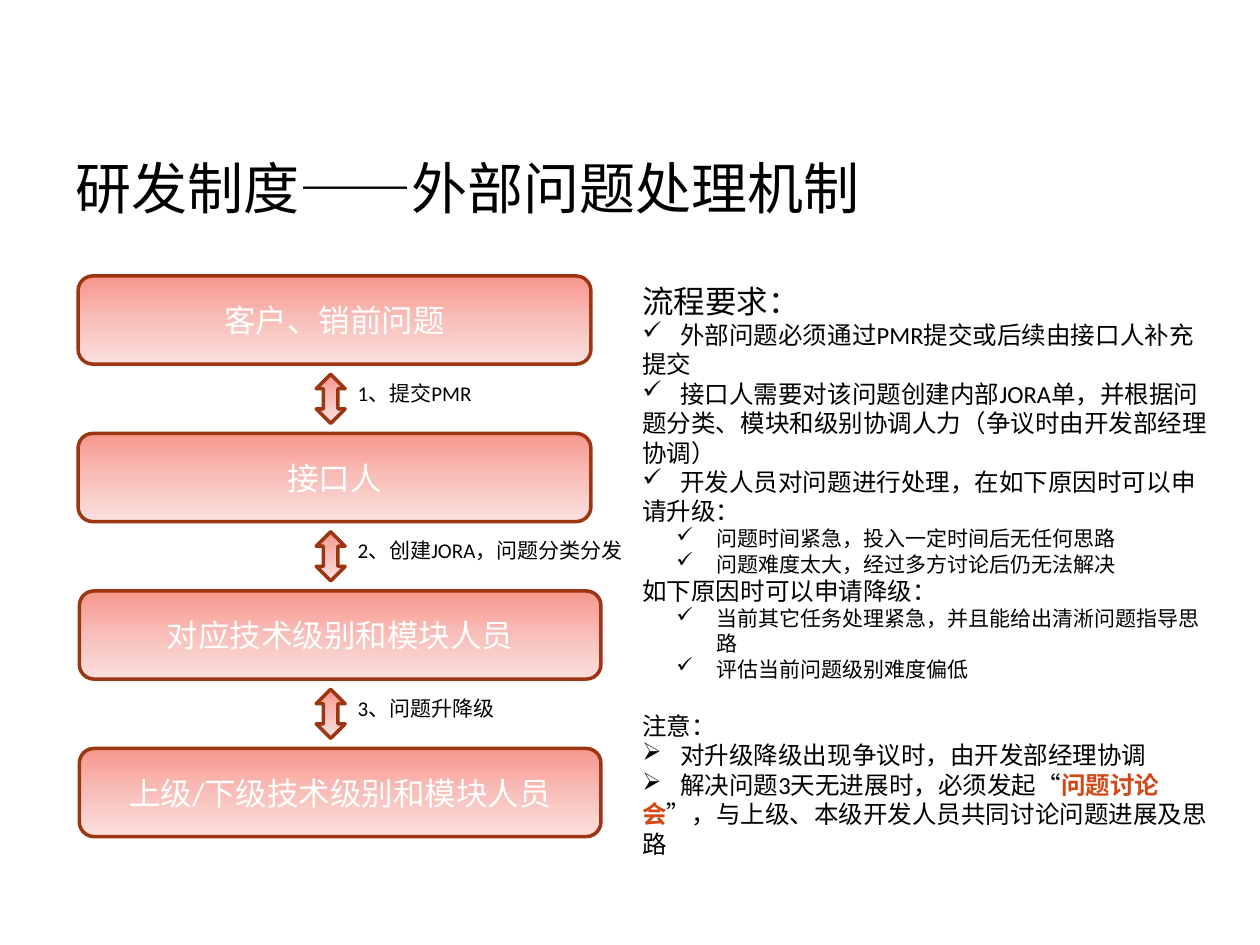
import copy
from dataclasses import dataclass

import pptx
import pptx.dml.color
import pptx.enum.shapes
import pptx.enum.text
import pptx.oxml.ns
import pptx.util
from pptx.util import Inches

Align = pptx.enum.text.PP_ALIGN
Anchor = pptx.enum.text.MSO_ANCHOR
ShapeType = pptx.enum.shapes.MSO_SHAPE
qn = pptx.oxml.ns.qn


@dataclass(frozen=True)
class Theme:
    title_font: str = "Roboto"
    body_font: str = "Calibri"
    text: str = "000000"
    light_text: str = "FFFFFF"
    accent: str = "D34817"
    outline: str = "9C3511"
    gradient: tuple = ((0, "F7968C"), (0.5, "F8BFBA"), (1, "FBE0DE"))
    title_size: int = 32
    heading_size: int = 18
    body_size: int = 14
    small_size: int = 12


THEME = Theme()


def rgb(value):
    return pptx.dml.color.RGBColor.from_string(value)


def add_run(paragraph, text, size, color=THEME.text, font=THEME.body_font, bold=False):
    run = paragraph.add_run()
    run.text = text
    run.font.size = pptx.util.Pt(size)
    run.font.name = font
    run.font.bold = bold
    run.font.color.rgb = rgb(color)


def add_text_box(slide, left, top, width, height, anchor=Anchor.TOP):
    frame = slide.shapes.add_textbox(left, top, width, height).text_frame
    frame.word_wrap = True
    frame.vertical_anchor = anchor
    return frame


def add_gradient_shape(slide, kind, left, top, width, height):
    shape = slide.shapes.add_shape(kind, left, top, width, height)
    shape.shadow.inherit = False
    shape.fill.gradient()
    shape.fill.gradient_angle = 270
    stop_list = shape._element.spPr.find(qn("a:gradFill")).find(qn("a:gsLst"))
    stop_list.append(copy.deepcopy(stop_list[0]))
    for stop, (position, color) in zip(shape.fill.gradient_stops, THEME.gradient):
        stop.position = position
        stop.color.rgb = rgb(color)
    shape.line.color.rgb = rgb(THEME.outline)
    shape.line.width = pptx.util.Pt(2)
    return shape


def add_bullet(paragraph, character, margin, indent, tab=None):
    properties = paragraph._p.get_or_add_pPr()
    properties.set("marL", str(margin))
    properties.set("indent", str(indent))
    bullet = properties.makeelement(qn("a:buChar"), {"char": character})
    properties.append(bullet)
    if tab is not None:
        tabs = properties.makeelement(qn("a:tabLst"), {})
        tabs.append(tabs.makeelement(qn("a:tab"), {"pos": str(tab), "algn": "l"}))
        properties.append(tabs)


def add_title(slide, left, top, width, height):
    frame = add_text_box(slide, left, top, width, height, Anchor.MIDDLE)
    add_run(frame.paragraphs[0], "研发制度——外部问题处理机制",
            THEME.title_size, font=THEME.title_font)


def add_flow(slide, left, top):
    """Stack of steps, with a two-way arrow and a label in each gap."""
    pitch = Inches(1.25)
    # Step text, left offset, width
    steps = [
        ("客户、销前问题", 0, 4.07),
        ("接口人", 0, 4.07),
        ("对应技术级别和模块人员", 0.01, 4.14),
        ("上级/下级技术级别和模块人员", 0.01, 4.14),
    ]
    for index, (text, offset, width) in enumerate(steps):
        step = add_gradient_shape(
            slide, ShapeType.ROUNDED_RECTANGLE, left + Inches(offset),
            top + index * pitch, Inches(width), Inches(0.7))
        frame = step.text_frame
        frame.word_wrap = True
        frame.vertical_anchor = Anchor.MIDDLE
        frame.paragraphs[0].alignment = Align.CENTER
        add_run(frame.paragraphs[0], text, THEME.heading_size, THEME.light_text)

    # Exchanges between neighbouring steps
    labels = [("1、提交PMR", 1.56), ("2、创建JORA，问题分类分发", 2.58), ("3、问题升降级", 1.3)]
    for index, (text, width) in enumerate(labels):
        arrow_top = top + Inches(0.78) + index * pitch
        add_gradient_shape(slide, ShapeType.UP_DOWN_ARROW, left + Inches(1.89),
                           arrow_top, Inches(0.23), Inches(0.39))
        frame = add_text_box(slide, left + Inches(2.12), arrow_top,
                             Inches(width), Inches(0.3))
        add_run(frame.paragraphs[0], text, THEME.small_size)


def add_requirements(slide, left, top, width, height):
    frame = add_text_box(slide, left, top, width, height)
    add_run(frame.paragraphs[0], "流程要求：", THEME.heading_size)

    def add_plain(text, space_before=0):
        paragraph = frame.add_paragraph()
        paragraph.space_before = pptx.util.Pt(space_before)
        add_run(paragraph, text, THEME.body_size)

    def add_item(text, character="✓"):
        # Wrapped lines return to the left edge, so a tab sets the first line
        paragraph = frame.add_paragraph()
        add_bullet(paragraph, character, 0, 0, Inches(0.3))
        add_run(paragraph, "\t" + text, THEME.body_size)
        return paragraph

    def add_reason(text):
        paragraph = frame.add_paragraph()
        paragraph.level = 1
        add_bullet(paragraph, "✓", Inches(0.59), Inches(-0.32))
        add_run(paragraph, text, THEME.small_size)

    # Process
    add_item("外部问题必须通过PMR提交或后续由接口人补充提交")
    add_item("接口人需要对该问题创建内部JORA单，并根据问题分类、模块和级别协调人力"
             "（争议时由开发部经理协调）")
    add_item("开发人员对问题进行处理，在如下原因时可以申请升级：")
    add_reason("问题时间紧急，投入一定时间后无任何思路")
    add_reason("问题难度太大，经过多方讨论后仍无法解决")
    add_plain("如下原因时可以申请降级：")
    add_reason("当前其它任务处理紧急，并且能给出清淅问题指导思路")
    add_reason("评估当前问题级别难度偏低")

    # Notes
    add_plain("注意：", space_before=17)
    add_item("对升级降级出现争议时，由开发部经理协调", "➢")
    meeting = add_item("解决问题3天无进展时，必须发起“", "➢")
    add_run(meeting, "问题讨论会", THEME.body_size, THEME.accent, bold=True)
    add_run(meeting, "”，与上级、本级开发人员共同讨论问题进展及思路", THEME.body_size)


def main():
    presentation = pptx.Presentation()
    presentation.slide_width = Inches(10)
    presentation.slide_height = Inches(7.5)
    slide = presentation.slides.add_slide(presentation.slide_layouts[6])
    add_title(slide, Inches(0.5), Inches(0.86), Inches(9), Inches(1.25))
    add_flow(slide, Inches(0.62), Inches(2.19))
    add_requirements(slide, Inches(5), Inches(2.19), Inches(4.69), Inches(4.51))
    presentation.save("out.pptx")


if __name__ == "__main__":
    main()
